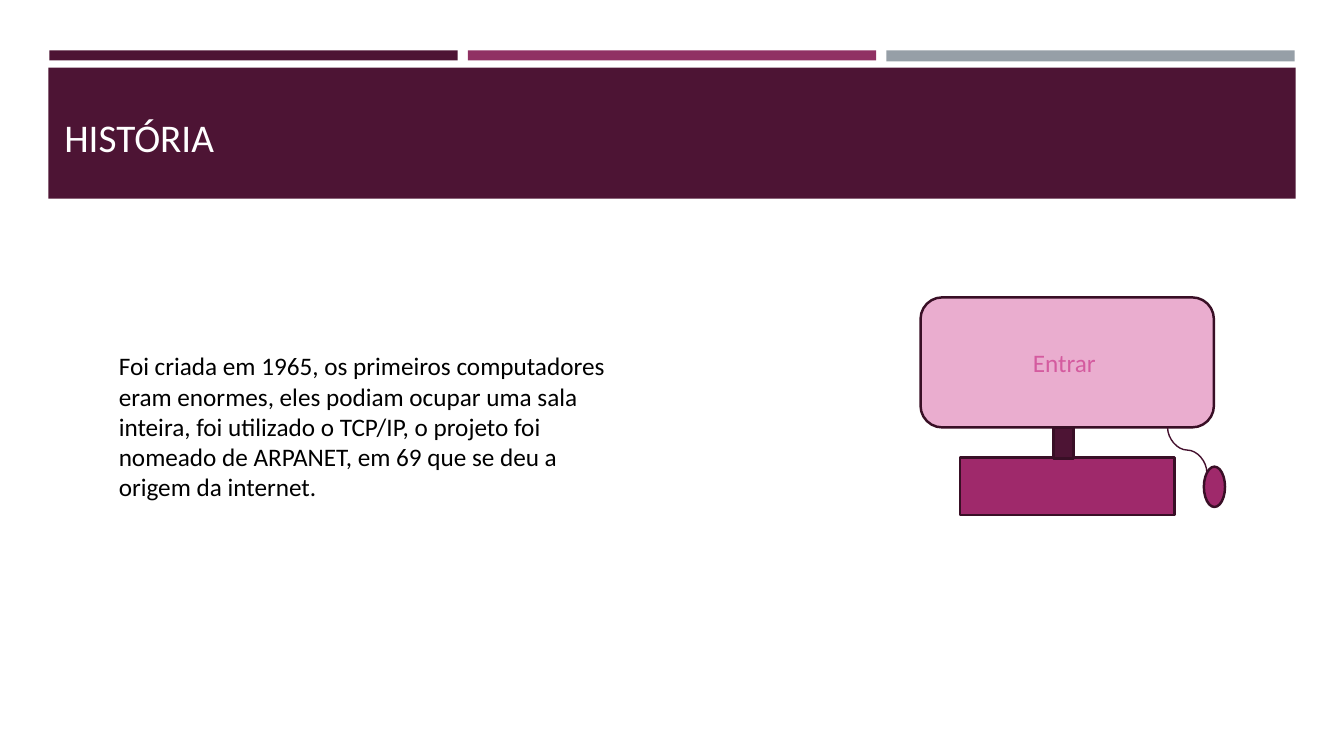
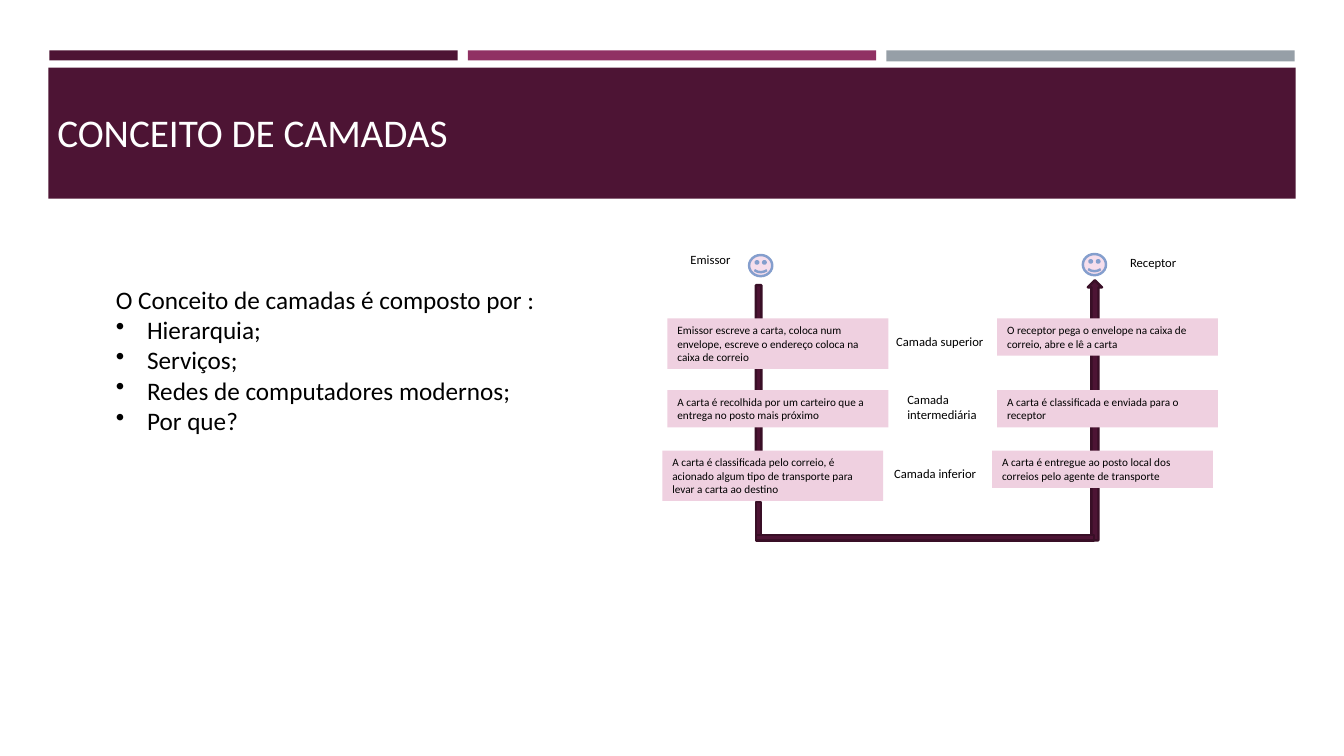
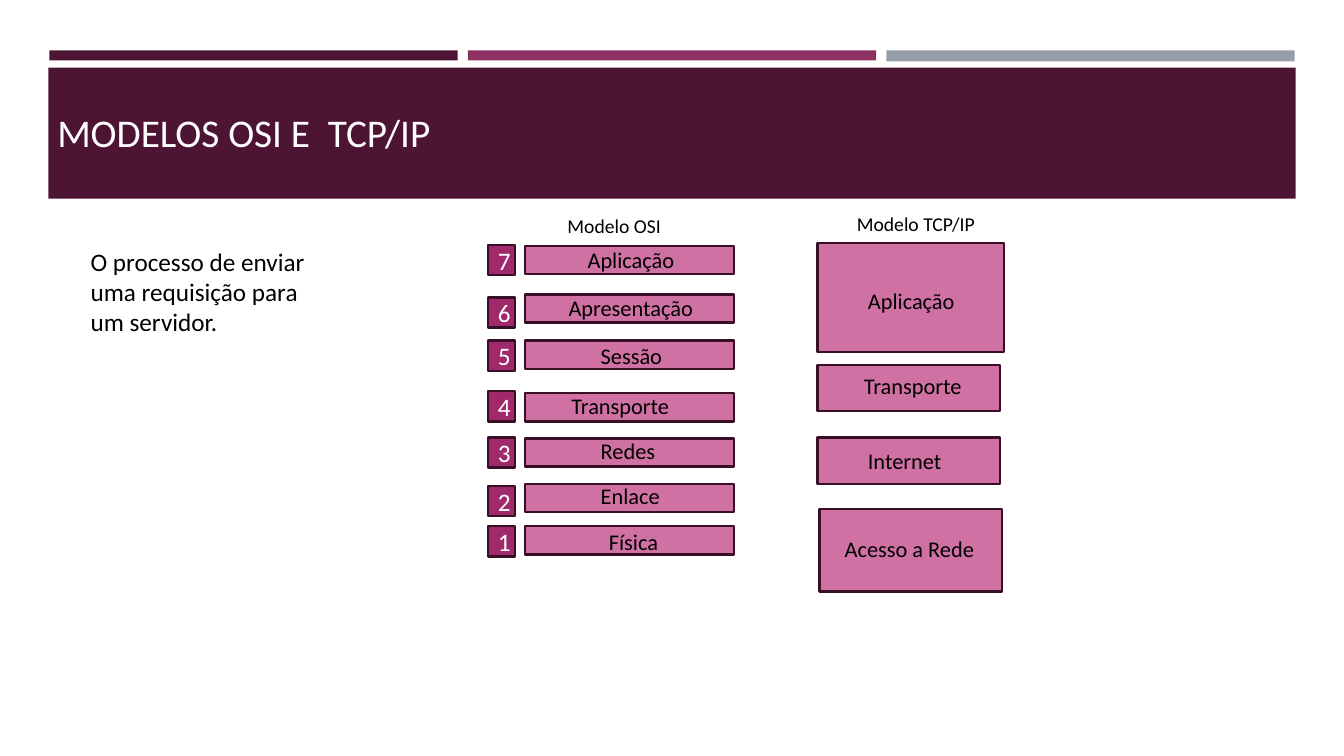
from dataclasses import dataclass

from lxml.etree import SubElement
from pptx import Presentation
from pptx.dml.color import RGBColor
from pptx.enum.shapes import MSO_CONNECTOR, MSO_SHAPE
from pptx.enum.text import MSO_ANCHOR, MSO_AUTO_SIZE, PP_ALIGN
from pptx.oxml.ns import qn
from pptx.slide import Slide
from pptx.util import Inches, Pt

FONT = "Calibri"
COLORS = {
    "plum": "4D1434", "berry": "903163", "steel": "969FA7", "outline": "390F26",
    "magenta": "9F296B", "cable": "45122F", "screen": "EAADCF", "enter": "D45B9F",
    "layer": "CF71A2", "step": "EFD0E0", "face": "F6DEEC", "face_line": "849ECD",
    "black": "000000", "white": "FFFFFF",
}
TAIL = (" ", 18)


def rgb(name):
    """Return a palette colour."""
    return RGBColor.from_string(COLORS[name])


def write(frame, paragraphs, color="black", align=PP_ALIGN.LEFT, anchor=MSO_ANCHOR.TOP):
    """Write paragraphs, each a list of (text, size) runs."""
    frame.vertical_anchor = anchor
    for index, runs in enumerate(paragraphs):
        paragraph = frame.paragraphs[0] if index == 0 else frame.add_paragraph()
        paragraph.alignment = align
        for text, size in runs:
            run = paragraph.add_run()
            run.text = text
            run.font.name, run.font.size = FONT, Pt(size)
            run.font.color.rgb = rgb(color)


def add_bullet(paragraph):
    """Give a paragraph a hanging round bullet."""
    properties = paragraph._p.get_or_add_pPr()
    properties.set("marL", str(Inches(0.31)))
    properties.set("indent", str(-Inches(0.31)))
    SubElement(properties, qn("a:buChar")).set("char", "•")


@dataclass
class Region:
    """A part of a slide; its contents are placed relative to left and top."""
    slide: Slide
    left: float
    top: float

    def place(self, x, y, width, height):
        """Turn a relative box into slide lengths."""
        return [Inches(v) for v in (self.left + x, self.top + y, width, height)]

    def shape(self, kind, box, fill, line="outline"):
        """Add a filled preset shape."""
        shape = self.slide.shapes.add_shape(kind, *self.place(*box))
        shape.shadow.inherit = False
        shape.fill.solid()
        shape.fill.fore_color.rgb = rgb(fill)
        if line:
            shape.line.color.rgb = rgb(line)
            shape.line.width = Pt(1.75)
        else:
            shape.line.fill.background()
        return shape

    def text(self, box, paragraphs, wrap=False):
        """Add a text box that grows with its text."""
        frame = self.slide.shapes.add_textbox(*self.place(*box)).text_frame
        frame.word_wrap = wrap
        frame.auto_size = MSO_AUTO_SIZE.SHAPE_TO_FIT_TEXT
        write(frame, paragraphs)
        return frame


def title_band(slide, title, left=0.47, top=0.48):
    """Draw the three strips, the title band and the title."""
    band = Region(slide, 0.48, 0.5)
    for x, height, color in ((0.01, 0.1, "plum"), (4.16, 0.1, "berry"), (8.31, 0.11, "steel")):
        band.shape(MSO_SHAPE.RECTANGLE, (x, 0, 4.05, height), color, None)
    band.shape(MSO_SHAPE.RECTANGLE, (0, 0.17, 12.37, 1.3), "plum", None)
    box = Region(slide, left, top).place(0, 0, 12.06, 1.11)
    frame = slide.shapes.add_textbox(*box).text_frame
    frame.word_wrap = True
    write(frame, [[(title, 28)]], "white", anchor=MSO_ANCHOR.BOTTOM)


def computer(region):
    """Draw the monitor, its base and the mouse on its cable."""
    screen = region.shape(MSO_SHAPE.ROUNDED_RECTANGLE, (0, 0, 2.91, 1.29), "screen")
    write(screen.text_frame, [[("Entrar ", 18)]], "enter", PP_ALIGN.CENTER, MSO_ANCHOR.MIDDLE)
    region.shape(MSO_SHAPE.RECTANGLE, (0.39, 1.59, 2.13, 0.57), "magenta")
    region.shape(MSO_SHAPE.OVAL, (2.81, 1.68, 0.21, 0.4), "magenta")
    left, top, width, height = region.place(2.42, 1.32, 0.45, 0.39)
    cable = region.slide.shapes.add_connector(
        MSO_CONNECTOR.CURVE, left, top + height, left + width, top)
    cable.line.color.rgb = rgb("cable")
    cable.line.width = Pt(1)
    properties = cable._element.spPr
    properties.find(qn("a:xfrm")).set("rot", str(270 * 60000))
    SubElement(properties, qn("a:effectLst"))
    region.shape(MSO_SHAPE.RECTANGLE, (1.32, 1.29, 0.2, 0.31), "plum")


def letter_step(region, box, text):
    """Draw one step of the letter's journey."""
    frame = region.shape(MSO_SHAPE.RECTANGLE, box, "step", None).text_frame
    frame.word_wrap = True
    frame.auto_size = MSO_AUTO_SIZE.SHAPE_TO_FIT_TEXT
    write(frame, [[(text, 8)]])


def letter_journey(region):
    """Draw the letter's way from sender to receiver through three layers."""
    region.shape(MSO_SHAPE.UP_ARROW, (4.22, 0.45, 0.14, 2.58), "plum")
    region.shape(MSO_SHAPE.DOWN_ARROW, (0.9, 0.5, 0.11, 2.06), "plum")
    people = (
        ("Emissor", (0.18, 0, 0.68, 0.4), (0.86, 0.2)),
        ("Receptor", (4.54, 0.03, 0.75, 0.4), (4.17, 0.19)),
    )
    for person, label_box, face in people:
        region.shape(MSO_SHAPE.SMILEY_FACE, (*face, 0.23, 0.21), "face", "face_line")
        region.text(label_box, [[(person, 9), TAIL]])
    layers = (
        (0.05, 0.83, 0.5,
         "Emissor escreve a carta, coloca num envelope, escreve o endereço coloca na caixa de correio ",
         "O receptor pega o envelope na caixa de correio, abre e lê a carta ",
         (2.22, 0.93, 1.12, 0.25), ["Camada superior "]),
        (0.05, 1.54, 0.37,
         "A carta é recolhida por um carteiro que a entrega no posto mais próximo ",
         "A carta é classificada e enviada para o receptor ",
         (2.33, 1.51, 0.92, 0.4), ["Camada ", "intermediária "]),
        (0, 2.14, 0.5,
         "A carta é classificada pelo correio, é acionado algum tipo de transporte para "
         "levar a carta ao destino ",
         "A carta é entregue ao posto local dos correios pelo agente de transporte ",
         (2.2, 2.24, 1.07, 0.25), ["Camada inferior "]),
    )
    for x, y, height, sending, receiving, name_box, name in layers:
        letter_step(region, (x, y, 2.19, height), sending)
        letter_step(region, (x + 3.27, y, 2.19, 0.37), receiving)
        region.text(name_box, [[(line, 9)] for line in name])
    region.shape(MSO_SHAPE.RECTANGLE, (0.93, 2.65, 0.05, 0.34), "plum")
    region.shape(MSO_SHAPE.FLOWCHART_PROCESS, (0.93, 2.98, 3.35, 0.05), "plum")


def osi_model(region):
    """Draw the seven numbered OSI layers."""
    region.text((0.69, 0, 1.16, 0.34), [[("Modelo OSI", 14)]])
    layers = (
        # number top, bar top, name left, name top, name width, runs
        (0.36, 0.37, 0.89, 0.32, 1.14, [("Aplicação ", 16)]),
        (0.88, 0.85, 0.7, 0.77, 1.58, [("Apresentação ", 16), TAIL]),
        (1.31, 1.31, 1.02, 1.25, 0.94, [("Sessão ", 16), TAIL]),
        (1.81, 1.83, 0.73, 1.74, 1.34, [("Transporte ", 16), TAIL]),
        (2.27, 2.28, 1.02, 2.22, 0.75, [("Redes", 16)]),
        (2.75, 2.73, 1.02, 2.64, 0.91, [("Enlace ", 16), TAIL]),
        (3.15, 3.15, 1.1, 3.09, 0.76, [("Física", 16), TAIL]),
    )
    for index, (number_top, bar_top, x, y, width, name) in enumerate(layers):
        region.shape(MSO_SHAPE.FLOWCHART_PROCESS, (0.37, bar_top, 2.07, 0.28), "layer")
        region.text((x, y, width, 0.4 if TAIL in name else 0.37), [name])
        number = region.shape(
            MSO_SHAPE.FLOWCHART_PROCESS, (0, number_top, 0.27, 0.3), "magenta")
        write(number.text_frame, [[(str(len(layers) - index), 18)]], "white",
              PP_ALIGN.CENTER, MSO_ANCHOR.MIDDLE)


def tcp_ip_model(region):
    """Draw the four TCP/IP layers."""
    region.text((0.29, 0, 1.4, 0.34), [[("Modelo TCP/IP", 14)]])
    layers = (
        ((0, 0.36, 1.85, 1.08), (0.4, 0.75, 1.07, 0.37), "Aplicação"),
        ((0, 1.57, 1.81, 0.46), (0.36, 1.59, 1.27, 0.37), "Transporte "),
        ((0, 2.29, 1.81, 0.46), (0.4, 2.34, 0.94, 0.37), "Internet"),
        ((0.02, 3, 1.81, 0.82), (0.17, 3.21, 1.54, 0.37), "Acesso a Rede"),
    )
    for layer_box, name_box, name in layers:
        region.shape(MSO_SHAPE.FLOWCHART_PROCESS, layer_box, "layer")
        region.text(name_box, [[(name, 16)]])


def history_slide(slide):
    """Build the slide on the history of the internet."""
    title_band(slide, "HISTÓRIA ", 0.54, 0.53)
    Region(slide, 1.08, 3.43).text((0, 0, 5.06, 1.62), [[(
        "Foi criada em 1965, os primeiros computadores eram enormes, eles podiam ocupar "
        "uma sala inteira, foi utilizado o TCP/IP, o projeto foi nomeado de ARPANET, em 69 "
        "que se deu a origem da internet.", 18)]], wrap=True)
    computer(Region(slide, 9.13, 2.95))


def layers_slide(slide):
    """Build the slide on the concept of layers."""
    title_band(slide, "CONCEITO DE CAMADAS ")
    lines = ("O Conceito de camadas é composto por :", "Hierarquia;", "Serviços;",
             "Redes de computadores modernos;", "Por que?")
    concept = Region(slide, 1.05, 2.77).text((0, 0, 4.52, 1.62), [[(line, 18)] for line in lines])
    for paragraph in concept.paragraphs[1:]:
        add_bullet(paragraph)
    letter_journey(Region(slide, 6.57, 2.33))


def models_slide(slide):
    """Build the slide comparing the OSI and TCP/IP models."""
    title_band(slide, "MODELOS OSI E  TCP/IP")
    Region(slide, 0.8, 2.39).text(
        (0, 0, 2.55, 1.01),
        [[("O processo de enviar uma requisição para um servidor.", 18)]], wrap=True)
    osi_model(Region(slide, 4.84, 2.07))
    tcp_ip_model(Region(slide, 8.11, 2.05))


deck = Presentation()
deck.slide_width, deck.slide_height = Inches(13.33), Inches(7.5)
for build in (history_slide, layers_slide, models_slide):
    build(deck.slides.add_slide(deck.slide_layouts[6]))
deck.save("out.pptx")
